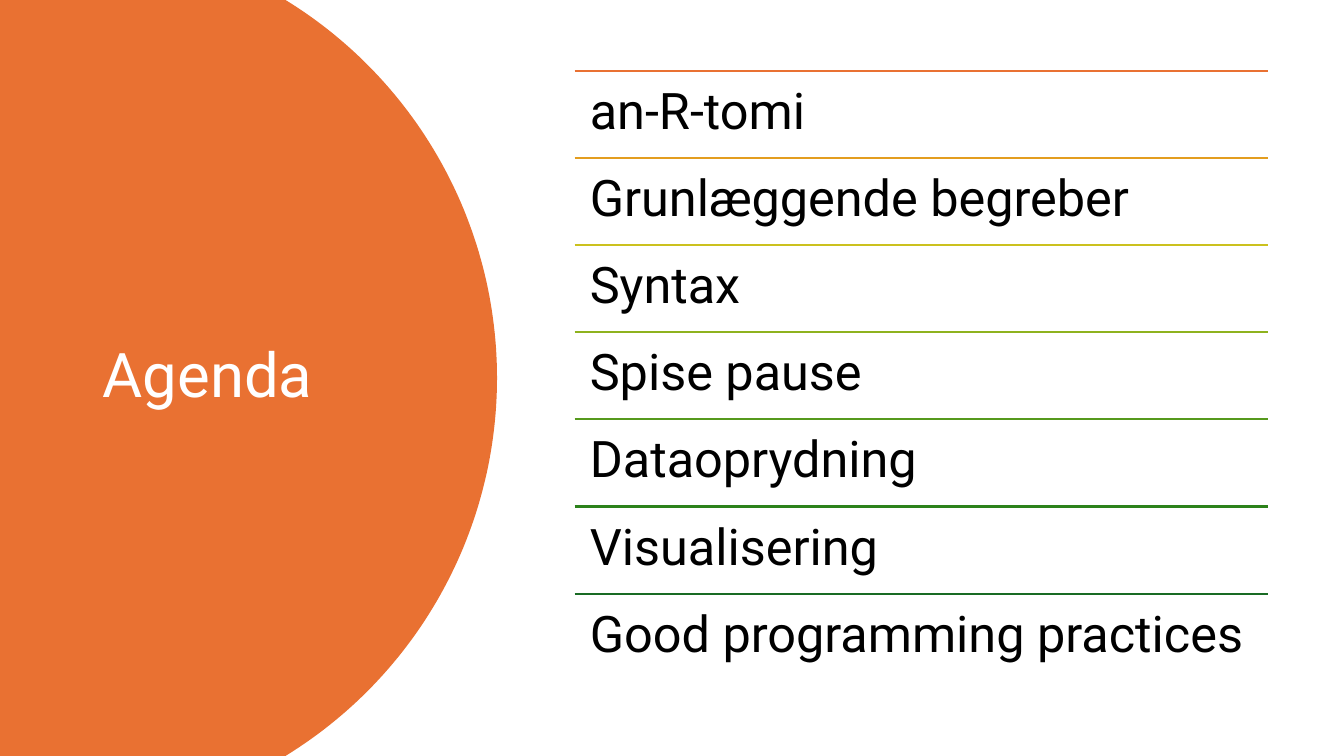
import math

import pptx
import pptx.util
import pptx.dml.color
import pptx.enum.shapes
import pptx.enum.text
from lxml import etree

Inches = pptx.util.Inches
Pt = pptx.util.Pt


def paint(code):
    return pptx.dml.color.RGBColor.from_string(code)


def write(home, words, left, top, width, height, size, color):
    box = home.add_textbox(Inches(left), Inches(top), Inches(width), Inches(height))
    frame = box.text_frame
    frame.word_wrap = True
    frame.text = words
    para = frame.paragraphs[0]
    para.line_spacing = 0.9
    font = para.runs[0].font
    font.name = "Roboto"
    font.size = Pt(size)
    font.color.rgb = paint(color)
    return frame


deck = pptx.Presentation()
deck.slide_width = Inches(13.33)
deck.slide_height = Inches(7.5)
slide = deck.slides.add_slide(deck.slide_layouts[6])
shapes = slide.shapes

# Orange panel bounded by a circular arc
mid, radius, half = 0.53, 4.4, 3.75
sweep = math.asin(half / radius)
steps = 120
arc = []
for step in range(steps + 1):
    angle = sweep * (2 * step / steps - 1)
    x = mid + radius * math.cos(angle)
    y = half + radius * math.sin(angle)
    arc.append((Inches(x), Inches(y)))
pen = shapes.build_freeform(0, 0)
pen.add_line_segments(arc + [(0, Inches(7.5))], close=True)
panel = pen.convert_to_shape()
panel.shadow.inherit = False
panel.fill.solid()
panel.fill.fore_color.rgb = paint("E97132")
panel.line.fill.background()

# Title
title = write(shapes, "Agenda", 0.92, 0.7, 3.23, 6.09, 44, "FFFFFF")
title.vertical_anchor = pptx.enum.text.MSO_ANCHOR.MIDDLE

# Agenda items, each under a coloured rule
items = [
    ("an-R-tomi", "E97132"),
    ("Grunlæggende begreber", "E39D1F"),
    ("Syntax", "CBC11E"),
    ("Spise pause", "8EB21E"),
    ("Dataoprydning", "56991D"),
    ("Visualisering", "2C821B"),
    ("Good programming practices", "196B24"),
]
left, width, first, pitch = 5.7, 6.88, 0.7, 0.865
agenda = shapes.add_group_shape().shapes
for row, (words, color) in enumerate(items):
    top = first + row * pitch
    rule = agenda.add_connector(
        pptx.enum.shapes.MSO_CONNECTOR.STRAIGHT,
        Inches(left), Inches(top), Inches(left + width), Inches(top))
    rule.line.color.rgb = paint(color)
    rule.line.width = Pt(1.5)
    etree.SubElement(rule.line._get_or_add_ln().getparent(),
                     pptx.oxml.ns.qn("a:effectLst"))
    frame = write(agenda, words, left, top, width, pitch, 36, "000000")
    frame.margin_left = frame.margin_right = Inches(0.15)
    frame.margin_top = frame.margin_bottom = Inches(0.15)

deck.save("out.pptx")
